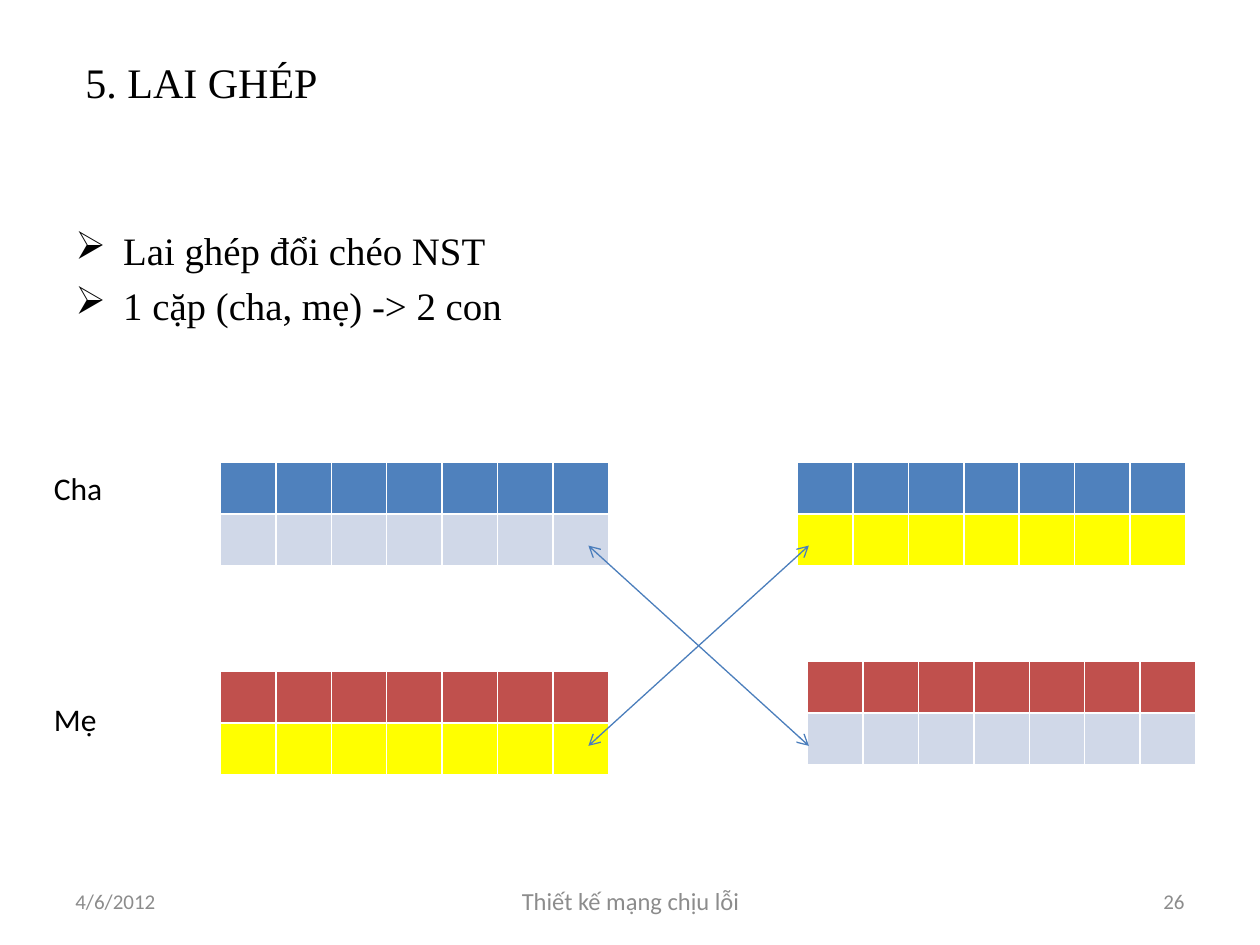
from lxml.etree import SubElement
from pptx import Presentation
from pptx.dml.color import RGBColor
from pptx.enum.shapes import MSO_CONNECTOR as CONNECTOR
from pptx.enum.text import MSO_ANCHOR as ANCHOR, PP_ALIGN as ALIGN
from pptx.oxml.ns import qn
from pptx.util import Inches, Pt

BLACK = RGBColor(0x00, 0x00, 0x00)
GREY = RGBColor(0x8C, 0x8C, 0x8C)
BLUE = RGBColor(0x4F, 0x81, 0xBD)
PALE = RGBColor(0xD0, 0xD8, 0xE8)
RED = RGBColor(0xC0, 0x50, 0x4D)
YELLOW = RGBColor(0xFF, 0xFF, 0x00)
ARROW_BLUE = RGBColor(0x4B, 0x7E, 0xBC)

HEADING = {"name": "Times New Roman", "size": Pt(24)}
BULLET = {"name": "Times New Roman", "size": Pt(22.2)}
LABEL = {"name": "Calibri", "size": Pt(18)}
FOOTER = {"name": "Calibri", "size": Pt(12)}
FOOTER_TITLE = {"name": "Calibri", "size": Pt(14)}

# lines, (left, top, width, height), font, colour, alignment, anchor
TEXTS = [
    (["5. LAI GHÉP"], (0.58, 0.3, 8.92, 0.7), HEADING, BLACK, ALIGN.LEFT, ANCHOR.MIDDLE),
    (["Cha "], (0.33, 3.67, 1, 0.4), LABEL, BLACK, ALIGN.LEFT, ANCHOR.TOP),
    (["Mẹ"], (0.33, 5.51, 1, 0.4), LABEL, BLACK, ALIGN.LEFT, ANCHOR.TOP),
    (["4/6/2012"], (0.5, 6.95, 2.33, 0.4), FOOTER, GREY, ALIGN.LEFT, ANCHOR.MIDDLE),
    (["Thiết kế mạng chịu lỗi"], (3.42, 6.95, 3.17, 0.4), FOOTER_TITLE, GREY,
     ALIGN.CENTER, ANCHOR.MIDDLE),
    (["26"], (7.17, 6.95, 2.33, 0.4), FOOTER, GREY, ALIGN.RIGHT, ANCHOR.MIDDLE),
]
POINTS = ["Lai ghép đổi chéo NST", "1 cặp (cha, mẹ) -> 2 con"]
POINTS_BOX = (0.5, 1.75, 9, 0.83)

# left, top, colour of the upper row, colour of the lower row
CHROMOSOMES = [
    (1.75, 3.67, BLUE, PALE),
    (1.75, 5.33, RED, YELLOW),
    (6.33, 3.67, BLUE, YELLOW),
    (6.41, 5.25, RED, PALE),
]
GENES, GENE_WIDTH, GENE_HEIGHT = 7, 0.44, 0.41
CROSS_LEFT, CROSS_RIGHT, CROSS_TOP, CROSS_BOTTOM = 4.67, 6.42, 4.33, 5.92


def add_text(slide, lines, box, font, colour, align=ALIGN.LEFT, anchor=ANCHOR.TOP):
    """Add a text box with one paragraph per line and return its paragraphs."""
    frame = slide.shapes.add_textbox(*map(Inches, box)).text_frame
    frame.word_wrap = True
    frame.vertical_anchor = anchor
    frame.text = "\n".join(lines)
    for paragraph in frame.paragraphs:
        paragraph.alignment = align
        for run in paragraph.runs:
            for key, value in font.items():
                setattr(run.font, key, value)
            run.font.color.rgb = colour
    return frame.paragraphs


def add_bullet(paragraph):
    """Give a paragraph an arrowhead bullet with a hanging indent."""
    paragraph.space_before = Pt(5)
    properties = paragraph._p.get_or_add_pPr()
    properties.set("marL", str(Inches(0.38)))
    properties.set("indent", str(-Inches(0.38)))
    SubElement(properties, qn("a:buChar"), char="➢")


def add_chromosome(slide, left, top, *row_colours):
    """Add a row of genes for each colour."""
    rows = len(row_colours)
    size = (GENES * GENE_WIDTH, rows * GENE_HEIGHT)
    table = slide.shapes.add_table(rows, GENES, *map(Inches, (left, top, *size))).table
    for column in table.columns:
        column.width = Inches(GENE_WIDTH)
    for row, colour in zip(table.rows, row_colours):
        row.height = Inches(GENE_HEIGHT)
        for gene in row.cells:
            gene.fill.solid()
            gene.fill.fore_color.rgb = colour


def add_exchange(slide, start_y, end_y):
    """Add a double-headed arrow between the left and right tables."""
    ends = map(Inches, (CROSS_LEFT, start_y, CROSS_RIGHT, end_y))
    arrow = slide.shapes.add_connector(CONNECTOR.STRAIGHT, *ends)
    arrow.line.color.rgb = ARROW_BLUE
    arrow.line.width = Pt(0.75)
    for end in ("a:headEnd", "a:tailEnd"):
        SubElement(arrow.line._get_or_add_ln(), qn(end), type="arrow")
    SubElement(arrow._element.spPr, qn("a:effectLst"))


def main():
    """Build the slide and save it."""
    deck = Presentation()
    deck.slide_width, deck.slide_height = Inches(10), Inches(7.5)
    slide = deck.slides.add_slide(deck.slide_layouts[6])
    for text in TEXTS:
        add_text(slide, *text)
    for point in add_text(slide, POINTS, POINTS_BOX, BULLET, BLACK):
        add_bullet(point)
    for chromosome in CHROMOSOMES:
        add_chromosome(slide, *chromosome)
    add_exchange(slide, CROSS_TOP, CROSS_BOTTOM)
    add_exchange(slide, CROSS_BOTTOM, CROSS_TOP)
    deck.save("out.pptx")


main()
